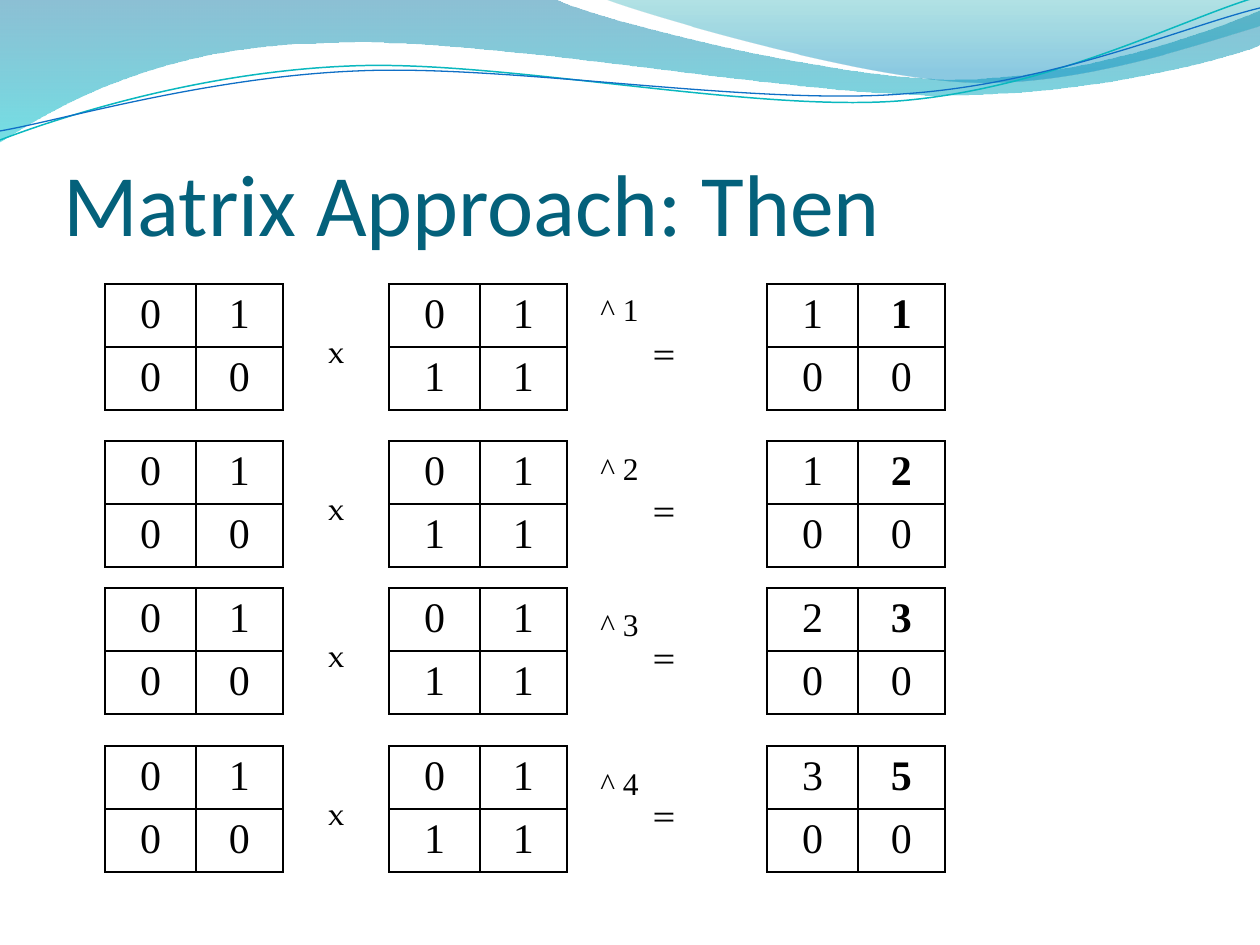
from pptx import Presentation
from pptx.dml.color import RGBColor
from pptx.enum.text import MSO_ANCHOR as Anchor, MSO_AUTO_SIZE as AutoSize, PP_ALIGN as Align
from pptx.oxml import parse_xml
from pptx.oxml.ns import nsdecls, qn
from pptx.util import Emu, Pt

SERIF = "Times New Roman"
OPERATOR_FONT = "TeX Gyre Pagella"
BLACK = "000000"
COLUMN_WIDTHS = (91, 87)
ROW_HEIGHT = 63

BACK_WAVE = [
    [(0, 0)], [(554, -1)],
    [(600, 21), (837, 79), (955, 79)], [(1075, 79), (1207, 33), (1260, 11)],
    [(1261, 45)],
    [(1239, 55), (1096, 96), (940, 95)], [(783, 95), (481, 35), (324, 43)],
    [(163, 45), (58, 105), (-1, 142)], [(0, 0)],
]
FRONT_WAVE = [
    [(604, -1)],
    [(641, 14), (859, 78), (969, 82)], [(1079, 87), (1211, 40), (1260, 26)],
    [(1260, 0)], [(604, -1)],
]
TEAL_LINE = [
    [(0, 140)],
    [(60, 117), (199, 72), (349, 66)], [(498, 59), (747, 112), (898, 101)],
    [(1050, 89), (1182, 19), (1257, -3)],
]
BLUE_LINE = [
    [(0, 131)],
    [(59, 121), (207, 77), (357, 71)], [(508, 64), (752, 106), (903, 94)],
    [(1053, 84), (1186, 26), (1260, 8)],
]


def px(length):
    """Turn pixels into EMU."""
    return Emu(round(length * 914400 / 126))


def color(hex_value):
    """Return the colour for a hex string."""
    return RGBColor.from_string(hex_value)


def add_text(paragraph, text, size, font, hex_value, bold=False):
    """Add one formatted run to a paragraph."""
    run = paragraph.add_run()
    run.text = text
    run.font.size = Pt(size)
    run.font.name = font
    run.font.bold = bold
    run.font.color.rgb = color(hex_value)


def add_outline(slide, box, segments, close):
    """Draw an outline of lines and cubic curves relative to the box."""
    left, top = box
    points = [(px(left + x), px(top + y)) for segment in segments for x, y in segment]
    builder = slide.shapes.build_freeform(*points[0], scale=1.0)
    builder.add_line_segments(points[1:], close=close)
    shape = builder.convert_to_shape()
    shape.shadow.inherit = False
    lines = iter(list(shape.element.spPr.iter(qn("a:lnTo"))))
    for segment in segments[1:]:
        parts = [next(lines) for _ in segment]
        if len(parts) == 3:
            curve = parse_xml(f'<a:cubicBezTo {nsdecls("a")}/>')
            parts[0].addprevious(curve)
            for part in parts:
                curve.append(part[0])
                part.getparent().remove(part)
    return shape


def add_wave(slide, box, segments, stops):
    """Draw a wave with a transparent vertical gradient."""
    shape = add_outline(slide, box, segments, True)
    shape.line.fill.background()
    shape.fill.gradient()
    shape.fill.gradient_angle = 270
    for stop, (position, hex_value, _) in zip(shape.fill.gradient_stops, stops):
        stop.position = position
        stop.color.rgb = color(hex_value)
    colors = shape.element.spPr.iter(qn("a:srgbClr"))
    for element, (_, _, opacity) in zip(list(colors), stops):
        element.append(parse_xml(f'<a:alpha {nsdecls("a")} val="{opacity * 1000}"/>'))


def add_header(slide, box):
    """Draw the waves and thin curves at the top of the slide."""
    add_wave(slide, box, BACK_WAVE, [(0, "0074A1", 45), (1, "00C6CF", 55)])
    add_wave(slide, box, FRONT_WAVE, [(0, "00A1A9", 30), (0.8, "008BBF", 45)])
    for segments, hex_value, width in (
            (TEAL_LINE, "0AB8BF", 0.85), (BLUE_LINE, "0F6FC6", 0.75)):
        curve = add_outline(slide, box, segments, False)
        curve.fill.background()
        curve.line.color.rgb = color(hex_value)
        curve.line.width = Pt(width)


def add_title(slide, box, text):
    """Place and format the title placeholder."""
    title = slide.shapes.title
    title.left, title.top, title.width, title.height = map(px, box)
    frame = title.text_frame
    frame.word_wrap = True
    frame.auto_size = AutoSize.NONE
    frame.vertical_anchor = Anchor.BOTTOM
    frame.margin_left = frame.margin_right = frame.margin_bottom = 0
    frame.margin_top = px(6)
    frame.paragraphs[0].alignment = Align.LEFT
    add_text(frame.paragraphs[0], text, 50, "Calibri", "04617B")


def set_borders(cell):
    """Give a cell thin black borders on all sides."""
    properties = cell._tc.get_or_add_tcPr()
    for index, side in enumerate("LRTB"):
        properties.insert(index, parse_xml(
            f'<a:ln{side} {nsdecls("a")} w="12700"><a:solidFill>'
            f'<a:srgbClr val="{BLACK}"/></a:solidFill></a:ln{side}>'))


def add_matrix(slide, box, values, bold_cell=None):
    """Add a two by two matrix table at the box corner."""
    left, top = box
    frame = slide.shapes.add_table(
        2, 2, px(left), px(top), px(sum(COLUMN_WIDTHS)), px(2 * ROW_HEIGHT))
    table = frame.table
    table.first_row = table.horz_banding = False
    for column, width in zip(table.columns, COLUMN_WIDTHS):
        column.width = px(width)
    for row_index, row in enumerate(values):
        table.rows[row_index].height = px(ROW_HEIGHT)
        for column_index, value in enumerate(row):
            cell = table.cell(row_index, column_index)
            cell.fill.background()
            set_borders(cell)
            cell.margin_left = cell.margin_right = px(9)
            cell.margin_top = cell.margin_bottom = 0
            paragraph = cell.text_frame.paragraphs[0]
            paragraph.alignment = Align.CENTER
            paragraph.line_spacing = 1.15
            add_text(paragraph, str(value), 24, SERIF, BLACK,
                     (row_index, column_index) == bold_cell)


def add_label(slide, box, text, font):
    """Add a one-line text box that fits its text."""
    label = slide.shapes.add_textbox(*map(px, box))
    label.text_frame.word_wrap = False
    label.text_frame.auto_size = AutoSize.SHAPE_TO_FIT_TEXT
    add_text(label.text_frame.paragraphs[0], text, 18, font, BLACK)


def add_equation(slide, box, power, power_offset, result):
    """Add one row: matrix times matrix to a power equals result."""
    left, top = box
    add_matrix(slide, (left, top), [(0, 1), (0, 0)])
    add_label(slide, (left + 211, top + 42, 40, 50), "x", OPERATOR_FONT)
    add_matrix(slide, (left + 284, top), [(0, 1), (1, 1)])
    add_label(slide, (left + 483, top + power_offset, 64, 50), f"^ {power}", SERIF)
    add_label(slide, (left + 535, top + 42, 43, 50), "=", OPERATOR_FONT)
    add_matrix(slide, (left + 662, top), [result, (0, 0)], bold_cell=(0, 1))


def main():
    """Build and save the presentation."""
    presentation = Presentation()
    presentation.slide_width, presentation.slide_height = px(1260), px(945)
    slide = presentation.slides.add_slide(presentation.slide_layouts[5])
    add_header(slide, (0, 0))
    add_title(slide, (63, 97, 1134, 157), "Matrix Approach: Then")
    equations = [(284, 0, (1, 1)), (441, 2, (1, 2)), (588, 11, (2, 3)), (746, 12, (3, 5))]
    for power, (top, power_offset, result) in enumerate(equations, start=1):
        add_equation(slide, (105, top), power, power_offset, result)
    presentation.save("out.pptx")


main()
